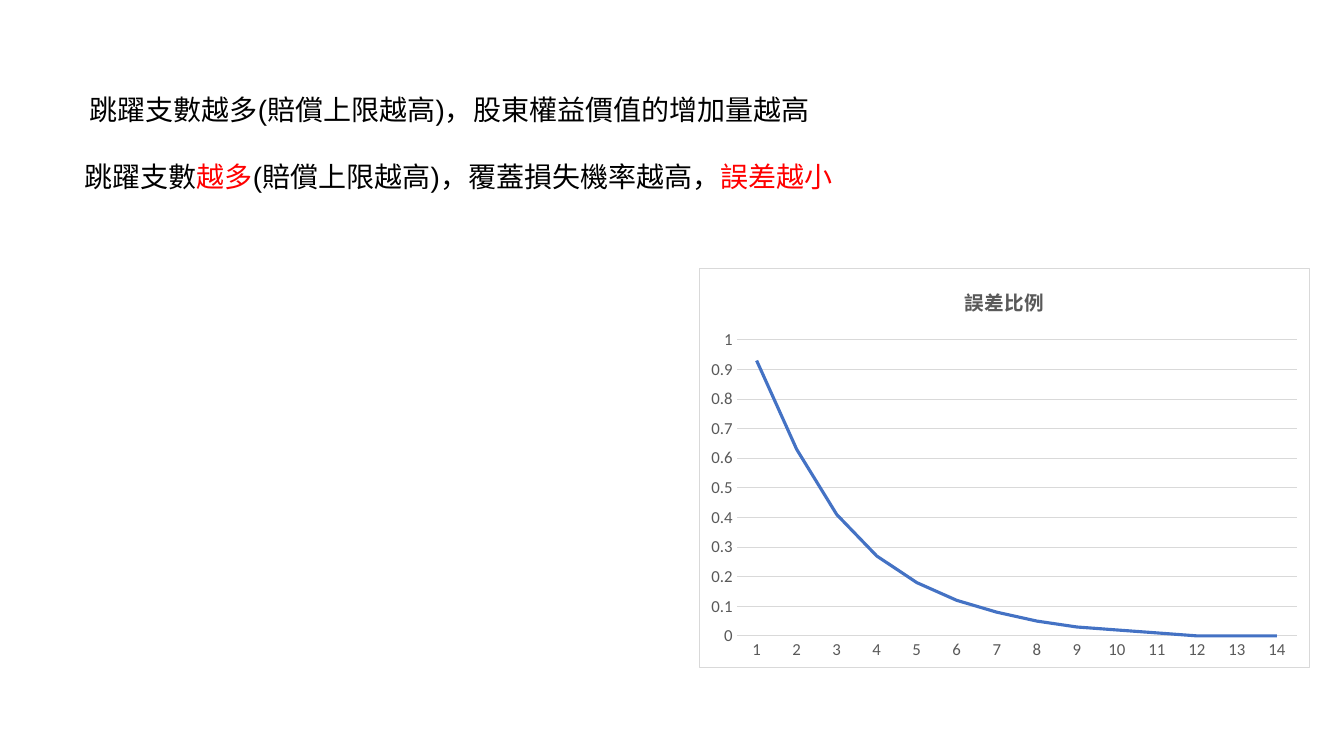
import dataclasses

import pptx
import pptx.chart.chart
import pptx.chart.data
import pptx.dml.color
import pptx.dml.line
import pptx.enum.chart
import pptx.enum.text
import pptx.oxml
import pptx.oxml.ns
import pptx.slide
import pptx.text.text
import pptx.util

Inches = pptx.util.Inches
Pt = pptx.util.Pt

BLACK = "000000"
RED = "FF0000"
GRAY = "595959"
RULE = "D9D9D9"
BLUE = "4472C4"
WHITE = "FFFFFF"
TITLE = "誤差比例"
RATES = (0.93, 0.63, 0.41, 0.27, 0.18, 0.12, 0.08,
         0.05, 0.03, 0.02, 0.01, 0, 0, 0)


@dataclasses.dataclass(frozen=True)
class Phrase:
    text: str
    color: str = BLACK


@dataclasses.dataclass(frozen=True)
class Claim:
    words: tuple[Phrase, ...]
    before: float = 0
    indent: float = 0


CLAIMS = (
    Claim((Phrase("跳躍支數越多(賠償上限越高)，股東權益價值的增加量越高"),)),
    Claim((
        Phrase("跳躍支數"),
        Phrase("越多", RED),
        Phrase("(賠償上限越高)，覆蓋損失機率越高，"),
        Phrase("誤差越小", RED),
    ), before=24, indent=0.18),
)


def paint(value: str) -> pptx.dml.color.RGBColor:
    return pptx.dml.color.RGBColor.from_string(value)


def set_font(font: pptx.text.text.Font, name: str, size: float, color: str) -> None:
    font.name = name
    font.size = Pt(size)
    font.color.rgb = paint(color)


def set_line(line: pptx.dml.line.LineFormat, color: str, width: float) -> None:
    line.color.rgb = paint(color)
    line.width = Pt(width)


def add_claims(slide: pptx.slide.Slide) -> None:
    box = slide.shapes.add_textbox(Inches(0), Inches(0.87), Inches(8.92), Inches(1.95))
    frame = box.text_frame
    frame.word_wrap = True
    frame.text = "\n".join("" for _ in CLAIMS)
    for para, claim in zip(frame.paragraphs, CLAIMS):
        para.alignment = pptx.enum.text.PP_ALIGN.CENTER
        if claim.before:
            para.space_before = Pt(claim.before)
        if claim.indent:
            para._p.get_or_add_pPr().set("marL", str(Inches(claim.indent)))
        for phrase in claim.words:
            run = para.add_run()
            run.text = phrase.text
            set_font(run.font, "Arial", 20, phrase.color)


def frame_chart(chart: pptx.chart.chart.Chart) -> None:
    names = pptx.oxml.ns.nsdecls("c", "a")
    root = chart._chartSpace
    root.insert(1, pptx.oxml.parse_xml(f'<c:roundedCorners {names} val="0"/>'))
    border = pptx.oxml.parse_xml(
        f'<c:spPr {names}><a:solidFill><a:srgbClr val="{WHITE}"/></a:solidFill>'
        f'<a:ln w="{Pt(0.75)}"><a:solidFill><a:srgbClr val="{RULE}"/></a:solidFill>'
        '</a:ln></c:spPr>'
    )
    root.find(pptx.oxml.ns.qn("c:txPr")).addprevious(border)


def add_graph(slide: pptx.slide.Slide) -> None:
    data = pptx.chart.data.CategoryChartData()
    data.categories = [str(count) for count in range(1, len(RATES) + 1)]
    data.add_series(TITLE, RATES)
    chart = slide.shapes.add_chart(
        pptx.enum.chart.XL_CHART_TYPE.LINE,
        Inches(6.93), Inches(2.66), Inches(6.06), Inches(3.97), data,
    ).chart
    set_font(chart.font, "Calibri", 10, BLACK)
    frame_chart(chart)
    chart.has_legend = False

    chart.has_title = True
    title = chart.chart_title
    title.include_in_layout = False
    title.text_frame.text = TITLE
    set_font(title.text_frame.paragraphs[0].runs[0].font, "Noto Sans CJK SC", 14, GRAY)

    for axis in (chart.category_axis, chart.value_axis):
        set_font(axis.tick_labels.font, "Calibri", 12, GRAY)
        axis.major_tick_mark = pptx.enum.chart.XL_TICK_MARK.NONE
        axis.minor_tick_mark = pptx.enum.chart.XL_TICK_MARK.NONE
    set_line(chart.category_axis.format.line, RULE, 0.75)

    scale = chart.value_axis
    scale.minimum_scale = 0
    scale.maximum_scale = 1
    scale.major_unit = 0.1
    scale.format.line.fill.background()
    scale.has_major_gridlines = True
    set_line(scale.major_gridlines.format.line, RULE, 0.75)

    plot = chart.plots[0]
    plot.vary_by_categories = False
    curve = plot.series[0]
    curve.smooth = False
    curve.marker.style = pptx.enum.chart.XL_MARKER_STYLE.NONE
    set_line(curve.format.line, BLUE, 2.25)


def main() -> None:
    deck = pptx.Presentation()
    deck.slide_width = Inches(13.33)
    deck.slide_height = Inches(7.5)
    slide = deck.slides.add_slide(deck.slide_layouts[6])
    add_graph(slide)
    add_claims(slide)
    deck.save("out.pptx")


if __name__ == "__main__":
    main()
